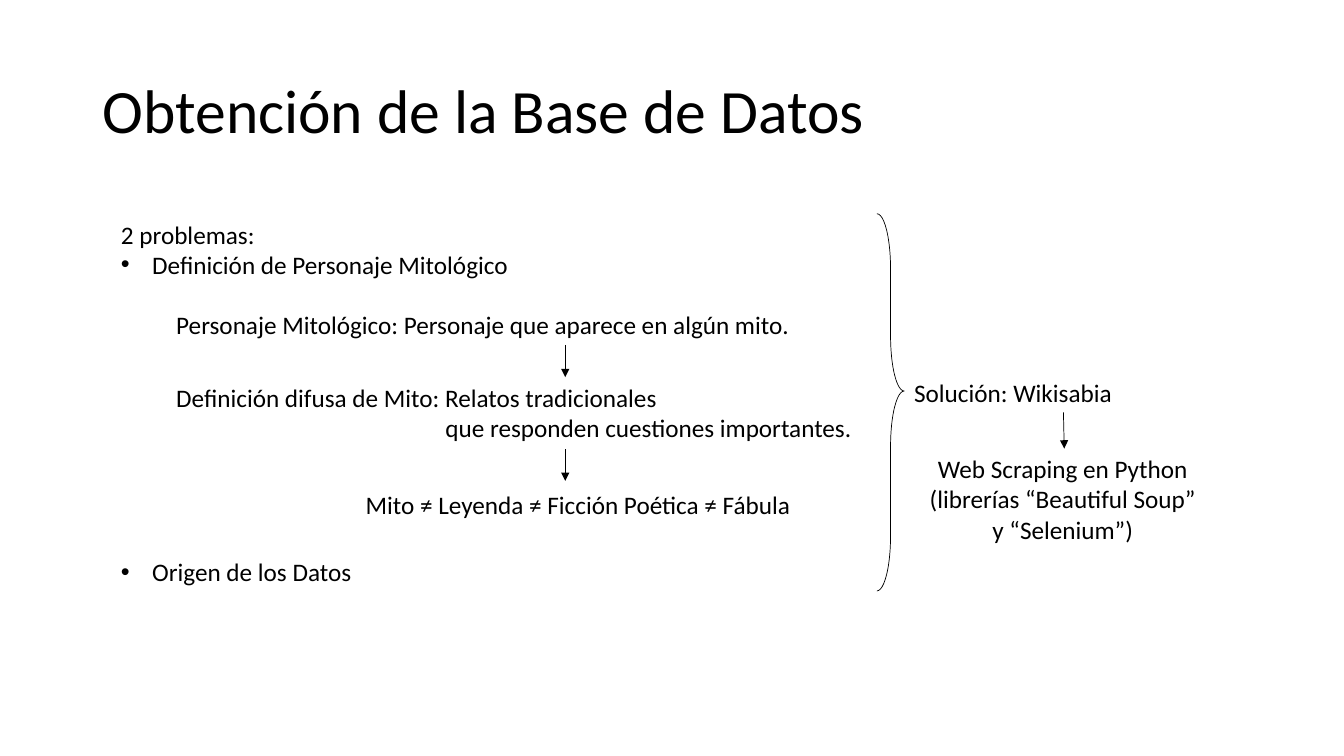
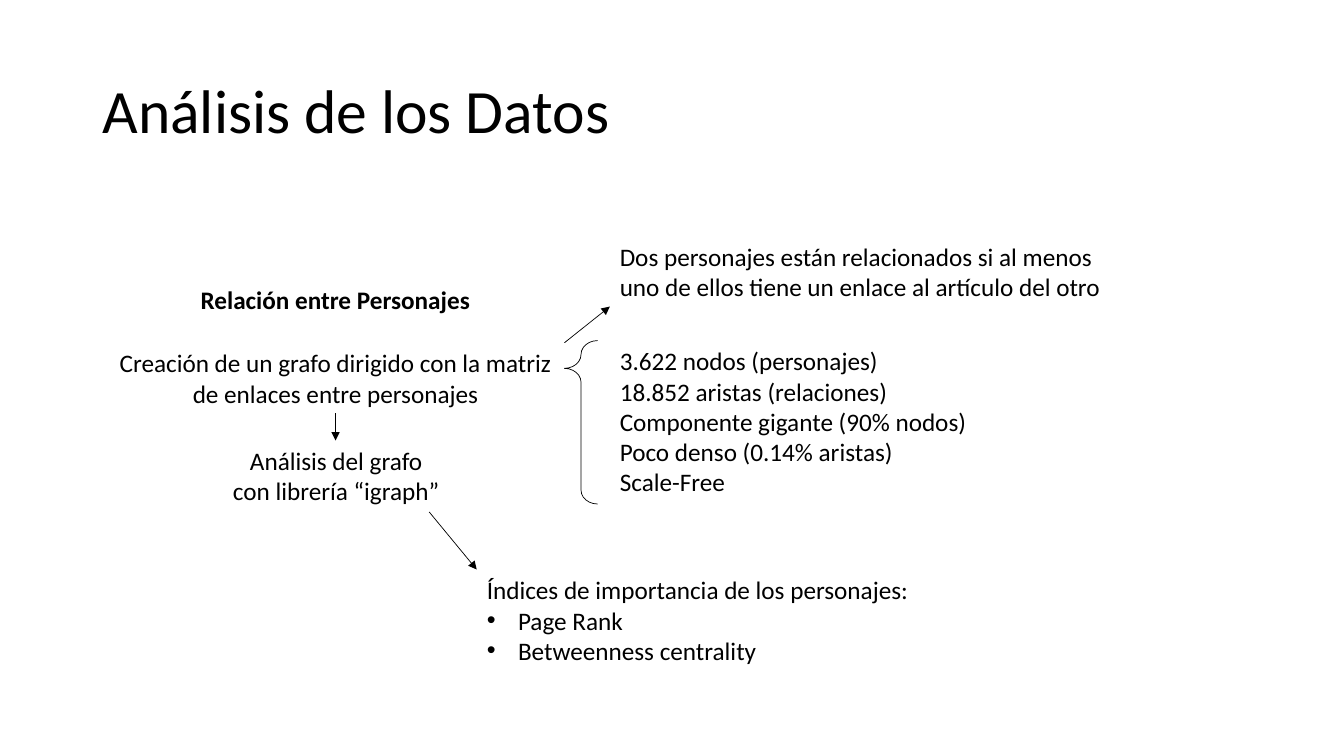
"""Build two slides on gathering and analysing a character database."""
from dataclasses import dataclass

from lxml import etree
from pptx import Presentation
from pptx.dml.color import RGBColor
from pptx.enum.shapes import MSO_CONNECTOR, MSO_SHAPE
from pptx.enum.text import MSO_ANCHOR, MSO_AUTO_SIZE, PP_ALIGN
from pptx.oxml.ns import qn
from pptx.shapes.autoshape import Shape
from pptx.slide import Slide
from pptx.util import Inches, Pt

LEFT, CENTER = PP_ALIGN.LEFT, PP_ALIGN.CENTER
TOP, MIDDLE = MSO_ANCHOR.TOP, MSO_ANCHOR.MIDDLE
FIXED, GROW = MSO_AUTO_SIZE.NONE, MSO_AUTO_SIZE.SHAPE_TO_FIT_TEXT
STRAIGHT = MSO_CONNECTOR.STRAIGHT
LEFT_BRACE, RIGHT_BRACE = MSO_SHAPE.LEFT_BRACE, MSO_SHAPE.RIGHT_BRACE

WIDTH, HEIGHT = Inches(13.33), Inches(7.5)
COLS, ROWS = 32, 18
LINE_ROWS, PADDING_ROWS = 0.73, 0.24


@dataclass(frozen=True)
class Theme:
    """Colours, type and line settings shared by the slides."""
    ink: RGBColor = RGBColor(0, 0, 0)
    font: str = "Calibri"
    title_size: int = 44
    text_size: int = 18
    line_width: float = 0.5
    bullet_indent: float = 0.31
    line_height: float = 22


@dataclass(frozen=True)
class Area:
    """Position and size in grid columns and rows."""
    col: float
    row: float
    cols: float
    rows: float


@dataclass(frozen=True)
class Line:
    """One paragraph with its bullet, left margin and blank lines before it."""
    text: str
    bullet: bool = False
    margin: float = 0
    gap_lines: int = 0


@dataclass(frozen=True)
class Label:
    """A free text box whose height follows its number of lines."""
    col: float
    row: float
    cols: float
    lines: tuple[str | Line, ...]
    align: PP_ALIGN = LEFT
    bold: bool = False


@dataclass(frozen=True)
class Arrow:
    """A straight arrow between two grid points."""
    col: float
    row: float
    end_col: float
    end_row: float


@dataclass(frozen=True)
class Brace:
    """A curly brace with its curve and tip adjustments."""
    kind: MSO_SHAPE
    area: Area
    curve: float
    tip: float


@dataclass(frozen=True)
class Page:
    """Everything shown on one slide."""
    title: str
    list_area: Area
    list_lines: tuple[str | Line, ...]
    labels: tuple[Label, ...]
    arrows: tuple[Arrow, ...]
    brace: Brace


THEME = Theme()
TITLE_AREA = Area(2.2, 0.96, 27.6, 3.48)


def x(cols: float) -> int:
    """Convert grid columns to a length."""
    return round(WIDTH * cols / COLS)


def y(rows: float) -> int:
    """Convert grid rows to a length."""
    return round(HEIGHT * rows / ROWS)


def box(area: Area) -> tuple[int, int, int, int]:
    """Return left, top, width and height of a grid area."""
    return x(area.col), y(area.row), x(area.cols), y(area.rows)


def apply(target: object, formats: dict[str, object]) -> None:
    """Set each attribute of a format on the target."""
    for name, value in formats.items():
        setattr(target, name, value)


def place(shape: Shape, area: Area) -> None:
    """Move a placeholder to a grid area."""
    apply(shape, dict(zip(("left", "top", "width", "height"), box(area))))


def write(shape: Shape, lines: tuple[str | Line, ...], frame: dict[str, object],
          size: float = THEME.text_size, align: PP_ALIGN = LEFT,
          bold: bool = False, spacing: float = 1.0) -> None:
    """Fill a shape with formatted paragraphs."""
    tf = shape.text_frame
    apply(tf, frame)
    for i, item in enumerate(lines):
        line = Line(item) if isinstance(item, str) else item
        p = tf.paragraphs[0] if i == 0 else tf.add_paragraph()
        apply(p, {"alignment": align, "line_spacing": spacing, "space_after": Pt(0),
                  "space_before": Pt(line.gap_lines * THEME.line_height)})
        hang = THEME.bullet_indent if line.bullet else 0
        pPr = p._p.get_or_add_pPr()
        pPr.set("marL", str(Inches(line.margin + hang)))
        pPr.set("indent", str(Inches(-hang)))
        if line.bullet:
            etree.SubElement(pPr, qn("a:buFont")).set("typeface", "Arial")
            etree.SubElement(pPr, qn("a:buChar")).set("char", "•")
        else:
            etree.SubElement(pPr, qn("a:buNone"))
        r = p.add_run()
        r.text = line.text
        apply(r.font, {"name": THEME.font, "size": Pt(size), "bold": bold})
        r.font.color.rgb = THEME.ink


def add_label(s: Slide, label: Label) -> None:
    """Draw a free text box."""
    rows = len(label.lines) * LINE_ROWS + PADDING_ROWS
    tb = s.shapes.add_textbox(*box(Area(label.col, label.row, label.cols, rows)))
    write(tb, label.lines, {"word_wrap": False, "auto_size": GROW},
          align=label.align, bold=label.bold)


def add_arrow(s: Slide, arrow: Arrow) -> None:
    """Draw a thin arrow with a triangular head."""
    cn = s.shapes.add_connector(STRAIGHT, x(arrow.col), y(arrow.row),
                                x(arrow.end_col), y(arrow.end_row))
    cn.line.color.rgb = THEME.ink
    cn.line.width = Pt(THEME.line_width)
    etree.SubElement(cn.line._get_or_add_ln(), qn("a:tailEnd")).set("type", "triangle")
    etree.SubElement(cn._element.spPr, qn("a:effectLst"))


def add_brace(s: Slide, brace: Brace) -> None:
    """Draw an unfilled curly brace."""
    sp = s.shapes.add_shape(brace.kind, *box(brace.area))
    sp.adjustments[0], sp.adjustments[1] = brace.curve, brace.tip
    sp.shadow.inherit = False
    sp.fill.background()
    sp.line.color.rgb = THEME.ink
    sp.line.width = Pt(THEME.line_width)


def add_page(prs: Presentation, page: Page) -> None:
    """Add one slide with its title, list, labels, arrows and brace."""
    s = prs.slides.add_slide(prs.slide_layouts[1])
    title, body = s.shapes.title, s.placeholders[1]
    place(title, TITLE_AREA)
    place(body, page.list_area)
    fixed = {"word_wrap": True, "auto_size": FIXED}
    write(title, (page.title,), fixed | {"vertical_anchor": MIDDLE},
          size=THEME.title_size, spacing=0.9)
    write(body, page.list_lines, fixed | {"vertical_anchor": TOP})
    for label in page.labels:
        add_label(s, label)
    for arrow in page.arrows:
        add_arrow(s, arrow)
    add_brace(s, page.brace)


PAGES = (
    Page(
        "Obtención de la Base de Datos",
        Area(2.64, 5.09, 9.82, 8.98),
        ("2 problemas:",
         Line("Definición de Personaje Mitológico", bullet=True),
         Line("Origen de los Datos", bullet=True, gap_lines=9)),
        (Label(3.96, 7.25, 15.24,
               ("Personaje Mitológico: Personaje que aparece en algún mito.",)),
         Label(3.96, 8.98, 16.78,
               ("Definición difusa de Mito: Relatos tradicionales",
                Line("que responden cuestiones importantes.", margin=2.67))),
         Label(8.47, 11.52, 10.73, ("Mito ≠ Leyenda ≠ Ficción Poética ≠ Fábula",)),
         Label(21.53, 8.86, 5.33, ("Solución: Wikisabia",)),
         Label(21.86, 10.68, 6.89,
               ("Web Scraping en Python", "(librerías “Beautiful Soup”", "y “Selenium”)"),
               CENTER)),
        (Arrow(13.46, 8.21, 13.46, 8.98),
         Arrow(13.46, 10.7, 13.46, 11.45),
         Arrow(25.32, 9.82, 25.34, 10.68)),
        Brace(RIGHT_BRACE, Area(20.88, 5.09, 0.65, 8.98), 2.02, 0.47),
    ),
    Page(
        "Análisis de los Datos",
        Area(11.35, 13.56, 10.63, 2.42),
        ("Índices de importancia de los personajes:",
         Line("Page Rank", bullet=True),
         Line("Betweenness centrality", bullet=True)),
        (Label(4.54, 6.65, 6.94, ("Relación entre Personajes",), bold=True),
         Label(2.54, 8.16, 10.9,
               ("Creación de un grafo dirigido con la matriz", "de enlaces entre personajes"),
               CENTER),
         Label(5.28, 10.49, 5.45, ("Análisis del grafo", "con librería “igraph”"), CENTER),
         Label(14.52, 5.62, 12.07,
               ("Dos personajes están relacionados si al menos",
                "uno de ellos tiene un enlace al artículo del otro")),
         Label(14.52, 8.11, 8.83,
               ("3.622 nodos (personajes)", "18.852 aristas (relaciones)",
                "Componente gigante (90% nodos)", "Poco denso (0.14% aristas)",
                "Scale-Free"))),
        (Arrow(7.99, 9.84, 7.99, 10.49),
         Arrow(13.44, 8.16, 14.52, 7.3),
         Arrow(10.22, 12.19, 11.35, 13.56)),
        Brace(LEFT_BRACE, Area(13.44, 8.11, 0.79, 3.89), 1.4, 0.17),
    ),
)


def main() -> None:
    """Build and save the presentation."""
    prs = Presentation()
    apply(prs, {"slide_width": WIDTH, "slide_height": HEIGHT})
    for page in PAGES:
        add_page(prs, page)
    prs.save("out.pptx")


main()
